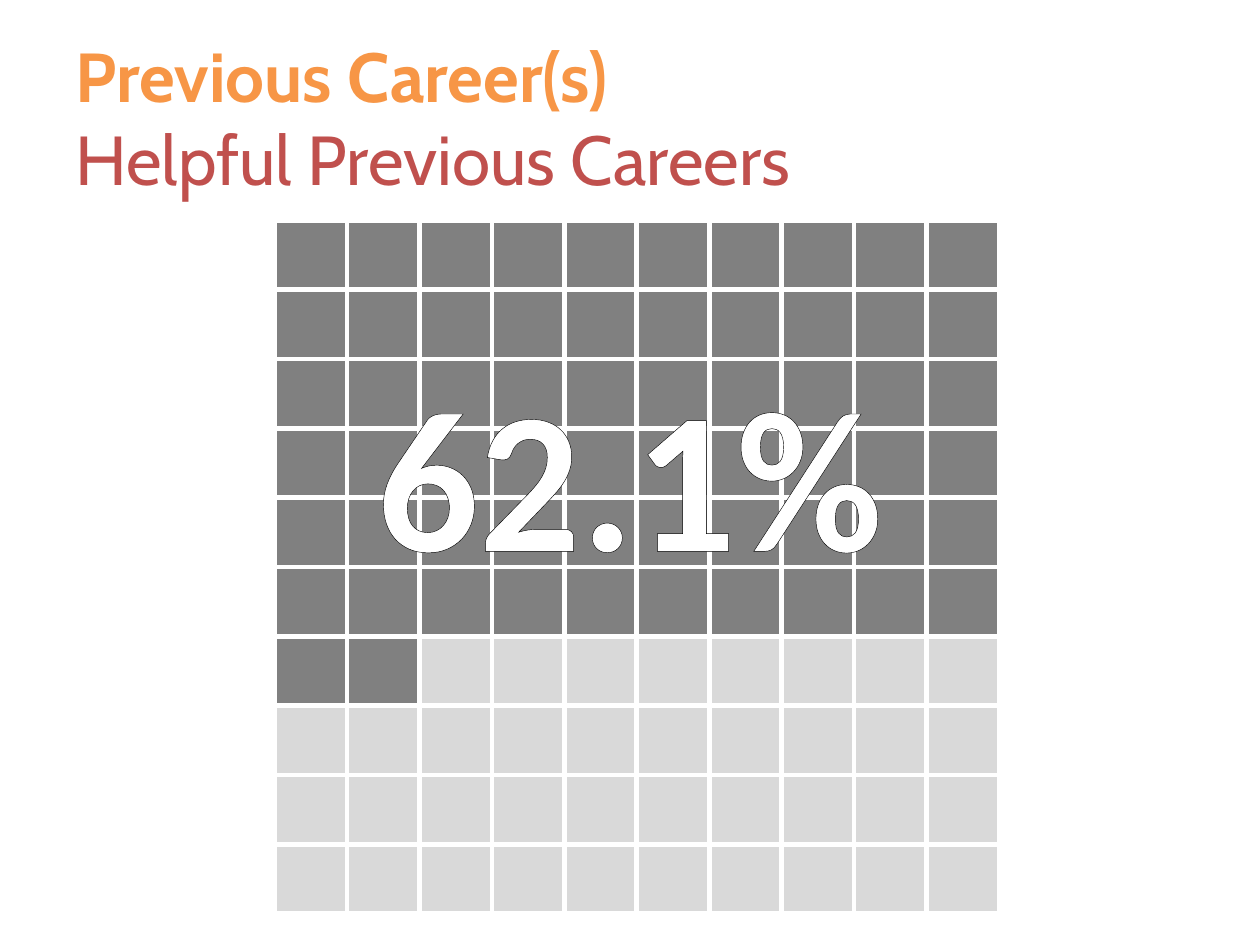
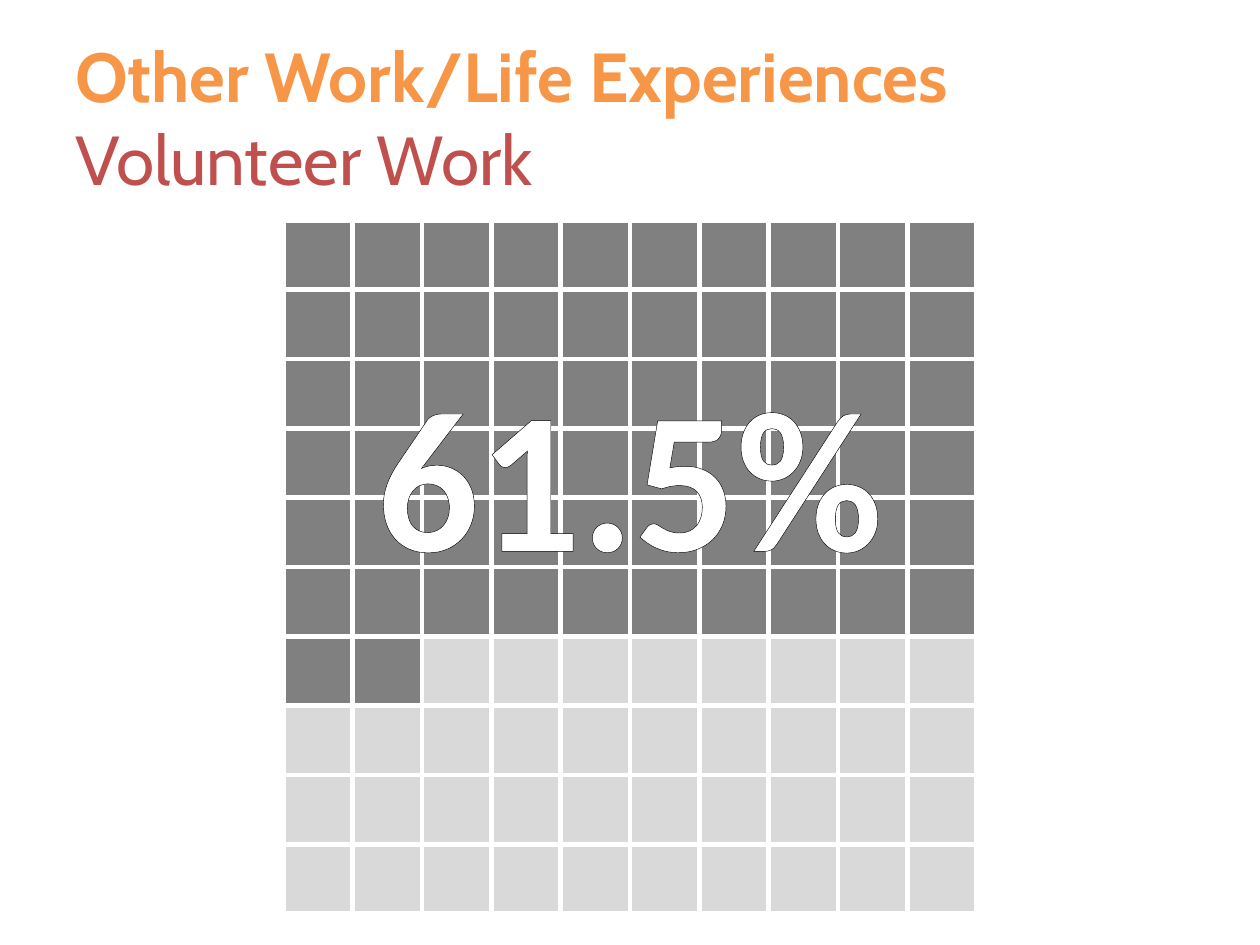
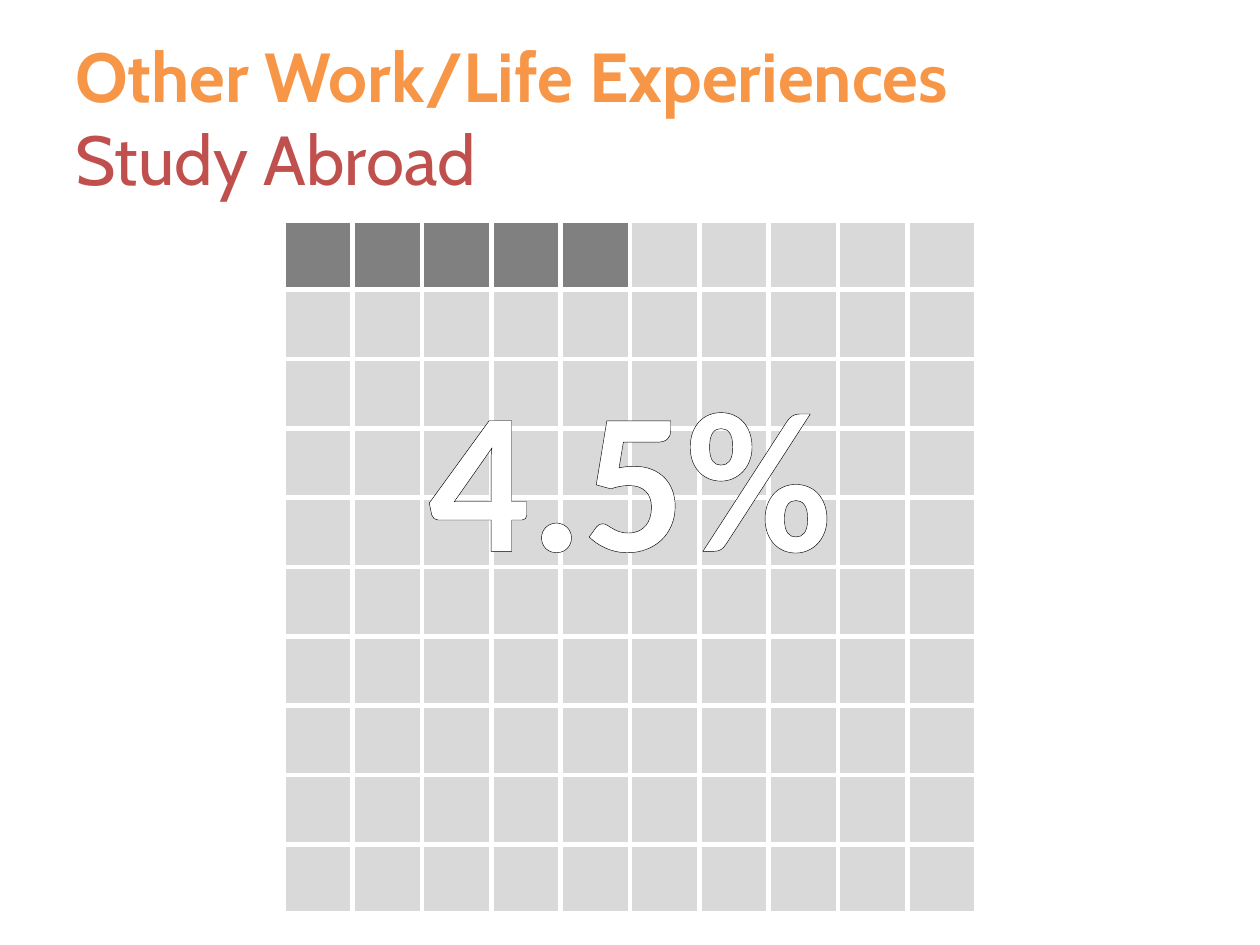
import math

import lxml.etree
import pptx
import pptx.dml.color
import pptx.enum.text
import pptx.oxml.ns
import pptx.util

SLIDE_WIDTH = pptx.util.Inches(10)
SLIDE_HEIGHT = pptx.util.Inches(7.5)
GRID_SIZE = 10
GRID_TOP = pptx.util.Inches(1.75)
GRID_HEIGHT = pptx.util.Inches(5.5)

ORANGE = "F79646"
RED = "C0504D"
DARK_GRAY = "808080"
LIGHT_GRAY = "D9D9D9"
WHITE = "FFFFFF"
BLACK = "000000"

SURVEY_RESULTS = [
    ("Previous Career(s)", "Helpful Previous Careers", 62.1, 2.18, 5.75),
    ("Other Work/Life Experiences", "Volunteer Work", 61.5, 2.25, 5.5),
    ("Other Work/Life Experiences", "Study Abroad", 4.5, 2.25, 5.5),
]


def color(hex_string):
    """Turn a hex string into a colour."""
    return pptx.dml.color.RGBColor.from_string(hex_string)


def place(shape, left, top, width, height):
    """Place a shape by shares of the slide's size."""
    shape.left, shape.width = int(left * SLIDE_WIDTH), int(width * SLIDE_WIDTH)
    shape.top, shape.height = int(top * SLIDE_HEIGHT), int(height * SLIDE_HEIGHT)


def add_run(paragraph, text, font_name, size, hex_string, bold):
    """Add a formatted run to a paragraph."""
    run = paragraph.add_run()
    run.text = text
    run.font.name = font_name
    run.font.size = pptx.util.Pt(size)
    run.font.bold = bold
    run.font.color.rgb = color(hex_string)
    return run


def make_line(tag, width, hex_string):
    """Make a solid line element for a cell border or a text outline."""
    line = lxml.etree.Element(pptx.oxml.ns.qn(tag), w=str(pptx.util.Pt(width)))
    fill = lxml.etree.SubElement(line, pptx.oxml.ns.qn("a:solidFill"))
    lxml.etree.SubElement(fill, pptx.oxml.ns.qn("a:srgbClr"), val=hex_string)
    return line


def set_title(slide, heading, topic):
    """Fill the title with a bold heading above a topic."""
    title = slide.shapes.title
    place(title, 0.05, 0.04, 0.9, 1 / 6)
    frame = title.text_frame
    frame.auto_size = pptx.enum.text.MSO_AUTO_SIZE.NONE
    frame.vertical_anchor = pptx.enum.text.MSO_ANCHOR.MIDDLE
    paragraph = frame.paragraphs[0]
    paragraph.alignment = pptx.enum.text.PP_ALIGN.LEFT
    add_run(paragraph, heading, "Cabin", 39.6, ORANGE, True)
    paragraph.add_line_break()
    add_run(paragraph, topic, "Cabin", 39.6, RED, False)


def format_cell(cell, hex_string):
    """Fill a cell and give it white borders."""
    properties = cell._tc.get_or_add_tcPr()
    for side in ("a:lnL", "a:lnR", "a:lnT", "a:lnB"):
        properties.append(make_line(side, 3, WHITE))
    cell.fill.solid()
    cell.fill.fore_color.rgb = color(hex_string)


def add_percent_grid(slide, percent, left, width):
    """Add a table of one hundred squares, dark up to the percentage."""
    table = slide.shapes.add_table(
        GRID_SIZE, GRID_SIZE, pptx.util.Inches(left), GRID_TOP,
        pptx.util.Inches(width), GRID_HEIGHT).table
    table.first_row = False
    table.horz_banding = False
    dark_count = math.floor(percent + 0.5)
    for index, cell in enumerate(table.iter_cells()):
        format_cell(cell, DARK_GRAY if index < dark_count else LIGHT_GRAY)


def add_percent_label(slide, percent):
    """Add the large outlined percentage over the grid."""
    label = slide.shapes.add_textbox(0, 0, 0, 0)
    place(label, 0.235, 0.364, 0.53, 0.272)
    frame = label.text_frame
    frame.word_wrap = True
    frame.auto_size = pptx.enum.text.MSO_AUTO_SIZE.SHAPE_TO_FIT_TEXT
    paragraph = frame.paragraphs[0]
    paragraph.alignment = pptx.enum.text.PP_ALIGN.CENTER
    run = add_run(paragraph, f"{percent}%", "Calibri", 115, WHITE, True)
    run._r.get_or_add_rPr().insert(0, make_line("a:ln", 3, BLACK))


def main():
    """Build one slide for each survey result."""
    presentation = pptx.Presentation()
    presentation.slide_width = SLIDE_WIDTH
    presentation.slide_height = SLIDE_HEIGHT
    title_only = presentation.slide_layouts.get_by_name("Title Only")
    for heading, topic, percent, left, width in SURVEY_RESULTS:
        slide = presentation.slides.add_slide(title_only)
        set_title(slide, heading, topic)
        add_percent_grid(slide, percent, left, width)
        add_percent_label(slide, percent)
    presentation.save("out.pptx")


if __name__ == "__main__":
    main()
